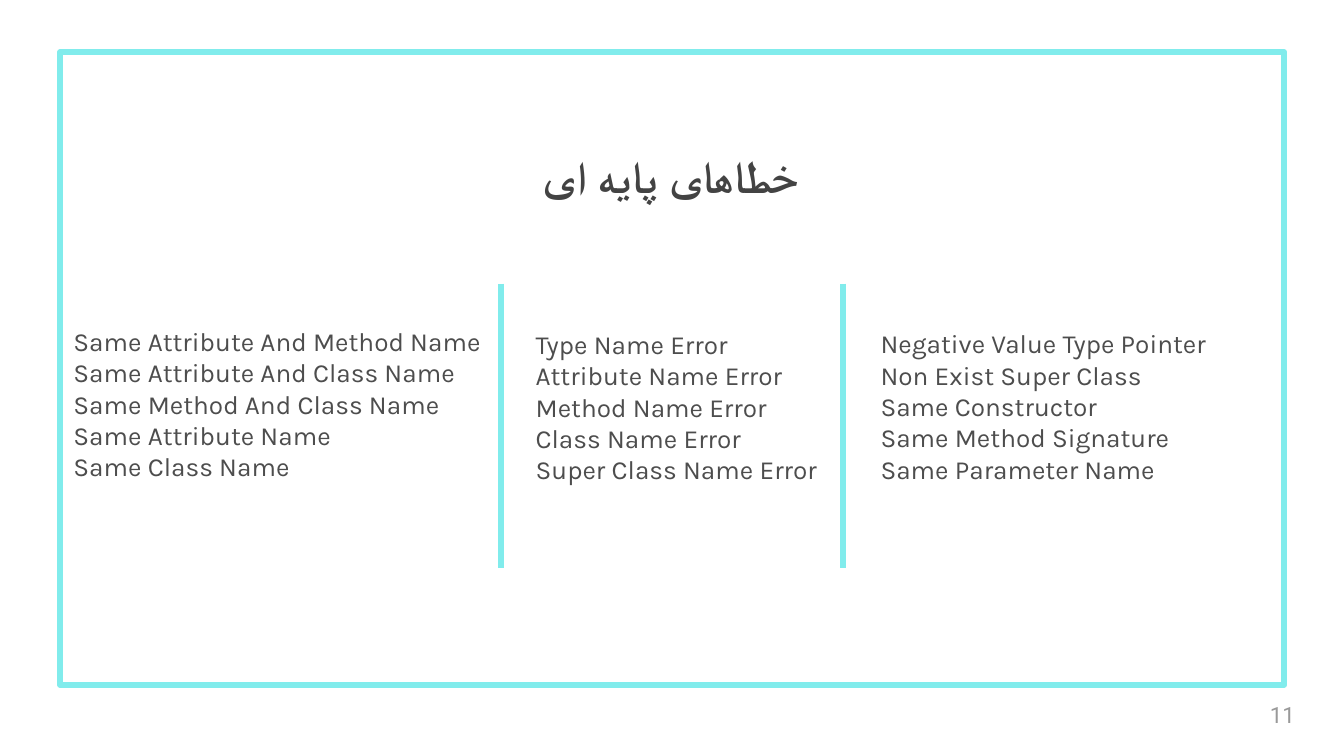
from dataclasses import dataclass

from lxml import etree
from pptx import Presentation
from pptx.dml.color import RGBColor
from pptx.enum.shapes import MSO_CONNECTOR, MSO_SHAPE
from pptx.enum.text import MSO_ANCHOR, PP_ALIGN
from pptx.oxml.ns import qn
from pptx.slide import Slide
from pptx.util import Inches, Pt

RECTANGLE = MSO_SHAPE.RECTANGLE
STRAIGHT = MSO_CONNECTOR.STRAIGHT
TOP, MIDDLE = MSO_ANCHOR.TOP, MSO_ANCHOR.MIDDLE
LEFT, CENTER = PP_ALIGN.LEFT, PP_ALIGN.CENTER

AQUA = RGBColor(0x81, 0xEC, 0xEC)
CHARCOAL = RGBColor(0x43, 0x43, 0x43)
BODY_GRAY = RGBColor(0x4D, 0x4D, 0x4D)
PALE_GRAY = RGBColor(0x99, 0x99, 0x99)

WIDTH = Inches(10)
HEIGHT = WIDTH * 9 // 16
RULE_WEIGHT = Pt(3)
INSET = Inches(0.1)


def across(percent: float) -> int:
    return round(WIDTH * percent / 100)


def down(percent: float) -> int:
    return round(HEIGHT * percent / 100)


@dataclass(frozen=True)
class Area:
    left: float
    top: float
    width: float
    height: float

    def lengths(self) -> tuple[int, int, int, int]:
        return (across(self.left), down(self.top),
                across(self.width), down(self.height))


@dataclass(frozen=True)
class ErrorColumn:
    area: Area
    errors: tuple[str, ...]
    indent: float = 0


FRAME = Area(4.46, 6.88, 91.1, 83.73)
TITLE = Area(-0.1, 17.96, 100, 9.42)
PAGE_NUMBER = Area(93.5, 90.72, 6, 7.64)
DIVIDERS = (37.26, 62.74)
DIVIDER_TOP, DIVIDER_BOTTOM = 37.51, 75.2

COLUMNS = (
    ErrorColumn(Area(2.94, 41.24, 35.9, 30.22), (
        "Same Attribute And Method Name",
        "Same Attribute And Class Name",
        "Same Method And Class Name",
        "Same Attribute Name",
        "Same Class Name",
    ), indent=1.54),
    ErrorColumn(Area(38.87, 41.65, 25.2, 30.22), (
        "Type Name Error",
        "Attribute Name Error",
        "Method Name Error",
        "Class Name Error",
        "Super Class Name Error",
    )),
    ErrorColumn(Area(64.53, 41.57, 29.9, 30.22), (
        "Negative Value Type Pointer",
        "Non Exist Super Class",
        "Same Constructor",
        "Same Method Signature",
        "Same Parameter Name",
    )),
)


def add_text(slide: Slide, area: Area, lines: tuple[str, ...], *,
             size: float = 14, font: str = "Karla",
             color: RGBColor = BODY_GRAY, bold: bool = False,
             align: PP_ALIGN = LEFT, anchor: MSO_ANCHOR = TOP,
             indent: float = 0) -> None:
    frame = slide.shapes.add_textbox(*area.lengths()).text_frame
    frame.word_wrap = True
    frame.vertical_anchor = anchor
    frame.margin_left = frame.margin_right = INSET
    frame.margin_top = frame.margin_bottom = INSET
    frame.text = "\n".join(lines)
    for paragraph in frame.paragraphs:
        paragraph.alignment = align
        if indent:
            paragraph._p.get_or_add_pPr().set("marL", str(across(indent)))
        run = paragraph.runs[0]
        run.font.size = Pt(size)
        run.font.name = font
        run.font.bold = bold
        run.font.color.rgb = color


def add_frame(slide: Slide, area: Area) -> None:
    border = slide.shapes.add_shape(RECTANGLE, *area.lengths())
    border.shadow.inherit = False
    border.fill.background()
    border.line.color.rgb = AQUA
    border.line.width = RULE_WEIGHT
    etree.SubElement(border.line._get_or_add_ln(), qn("a:round"))


def add_divider(slide: Slide, position: float) -> None:
    divider = slide.shapes.add_connector(
        STRAIGHT, across(position), down(DIVIDER_TOP),
        across(position), down(DIVIDER_BOTTOM))
    divider.line.color.rgb = AQUA
    divider.line.width = RULE_WEIGHT
    etree.SubElement(divider._element.spPr, qn("a:effectLst"))


def main() -> None:
    deck = Presentation()
    deck.slide_width, deck.slide_height = WIDTH, HEIGHT
    slide = deck.slides.add_slide(deck.slide_layouts[6])

    add_frame(slide, FRAME)
    add_text(slide, TITLE, ("خطاهای پایه ای",), size=24, color=CHARCOAL,
             bold=True, align=CENTER)
    for position in DIVIDERS:
        add_divider(slide, position)
    add_text(slide, PAGE_NUMBER, ("11",), size=12, font="Roboto",
             color=PALE_GRAY, anchor=MIDDLE)
    for column in COLUMNS:
        add_text(slide, column.area, column.errors, indent=column.indent)

    deck.save("out.pptx")


if __name__ == "__main__":
    main()
